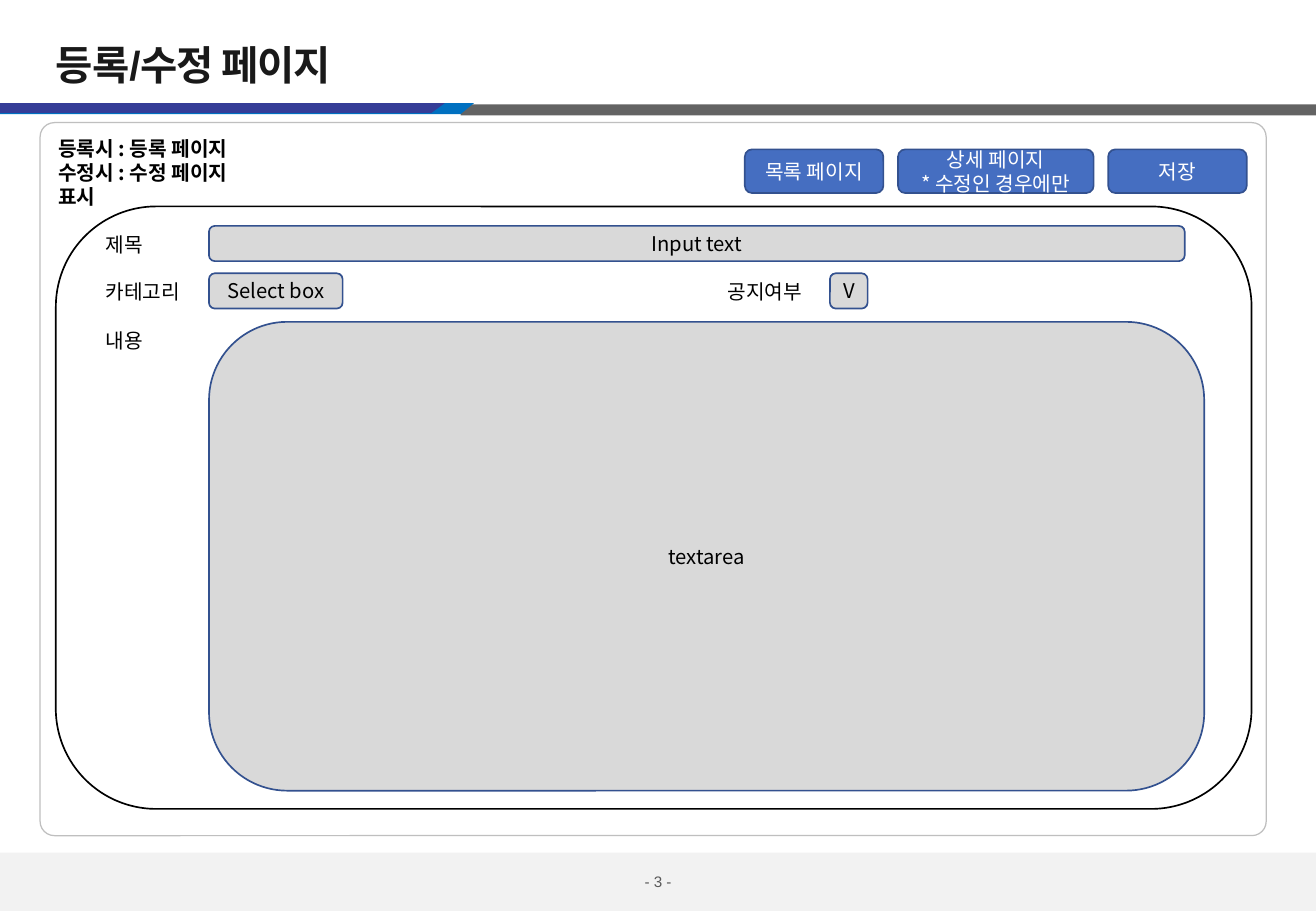
from pptx import Presentation
from pptx.dml.color import RGBColor
from pptx.enum.shapes import MSO_SHAPE as Kind
from pptx.enum.text import MSO_ANCHOR as Anchor, MSO_AUTO_SIZE as Auto, PP_ALIGN as Align
from pptx.oxml.ns import qn
from pptx.util import Inches, Pt
from lxml.etree import SubElement

BLACK = RGBColor(0x00, 0x00, 0x00)
WHITE = RGBColor(0xFF, 0xFF, 0xFF)
INK = RGBColor(0x19, 0x19, 0x19)
GRAY = RGBColor(0x59, 0x59, 0x59)
BAR = RGBColor(0x63, 0x63, 0x63)
EDGE = RGBColor(0xBF, 0xBF, 0xBF)
FIELD = RGBColor(0xD9, 0xD9, 0xD9)
FOOT = RGBColor(0xF2, 0xF2, 0xF2)
BLUE = RGBColor(0x45, 0x6E, 0xC1)
RIM = RGBColor(0x33, 0x51, 0x8F)
SKY = RGBColor(0x00, 0x70, 0xC0)
NAVY = RGBColor(0x35, 0x3D, 0x97)
SANS = "Noto Sans CJK KR"
HEAD = "Arial"


class Page:
    def __init__(self, deck):
        self.slide = deck.slides.add_slide(deck.slide_layouts[6])
        self.shapes = self.slide.shapes

    def paint(self, shape, fill, line=None, width=1):
        shape.shadow.inherit = False
        if fill is None:
            shape.fill.background()
        else:
            shape.fill.solid()
            shape.fill.fore_color.rgb = fill
        if line is None:
            shape.line.fill.background()
        else:
            shape.line.color.rgb = line
            shape.line.width = Pt(width)

    def letter(self, shape, text, color, size=12, font=SANS, bold=False,
               align=Align.LEFT, space=None):
        frame = shape.text_frame
        frame.text = text
        for para in frame.paragraphs:
            para.alignment = align
            for run in para.runs:
                run.font.name = font
                run.font.size = Pt(size)
                run.font.bold = bold
                run.font.color.rgb = color
                props = run.font._element
                SubElement(props, qn("a:ea")).set("typeface", SANS)
                if space is not None:
                    props.set("spc", str(int(space * 100)))

    def box(self, kind, area, fill, line=None, width=1, bend=None):
        shape = self.shapes.add_shape(kind, *map(Inches, area))
        self.paint(shape, fill, line, width)
        if bend is not None:
            shape.adjustments[0] = bend
        return shape

    def field(self, area, text, fill=FIELD, color=BLACK):
        shape = self.box(Kind.ROUNDED_RECTANGLE, area, fill, RIM)
        shape.text_frame.vertical_anchor = Anchor.MIDDLE
        self.letter(shape, text, color, align=Align.CENTER)

    def button(self, left, width, text):
        self.field((left, 1.23, width, 0.36), text, BLUE, WHITE)

    def label(self, area, text, color=BLACK, tight=False, wrap=False, **style):
        shape = self.shapes.add_textbox(*map(Inches, area))
        frame = shape.text_frame
        frame.word_wrap = wrap
        frame.auto_size = Auto.SHAPE_TO_FIT_TEXT
        if tight:
            frame.vertical_anchor = Anchor.MIDDLE
            frame.margin_left = frame.margin_right = 0
            frame.margin_top = frame.margin_bottom = 0
        self.letter(shape, text, color, **style)

    def band(self, right, depth, fill):
        top, slant = 0.85, 0.11
        points = [(right, top), (right - slant, top + depth), (0, top + depth)]
        outline = self.shapes.build_freeform(0, Inches(top), scale=1.0)
        outline.add_line_segments([(Inches(x), Inches(y)) for x, y in points])
        self.paint(outline.convert_to_shape(), fill)


def main():
    deck = Presentation()
    deck.slide_width = Inches(10.83)
    deck.slide_height = Inches(7.5)
    page = Page(deck)

    page.box(Kind.RECTANGLE, (0, 7.02, 10.83, 0.48), FOOT)
    page.box(Kind.RECTANGLE, (3.79, 0.86, 7.04, 0.09), BAR)
    page.band(3.9, 0.09, SKY)
    page.band(3.66, 0.08, NAVY)
    page.label((4.74, 7.18, 1.35, 0.15), "- 3 -", GRAY, tight=True, wrap=True,
               size=9, font=HEAD, align=Align.CENTER)
    page.box(Kind.ROUNDED_RECTANGLE, (0.33, 1.01, 10.09, 5.87), None, EDGE, 0.75, 0.02)
    page.box(Kind.ROUNDED_RECTANGLE, (0.46, 1.7, 9.84, 4.96), WHITE, BLACK)

    page.label((0.46, 0.33, 2.55, 0.4), "등록/수정 페이지", INK, tight=True,
               size=24, font=HEAD, bold=True, space=-0.6)
    page.label((0.38, 1.07, 1.77, 0.71),
               "등록시 : 등록 페이지\n수정시 : 수정 페이지\n표시", bold=True)

    first, second, third = 1.86, 2.25, 2.65
    for left, top, width, text in (
        (0.77, first, 0.54, "제목"),
        (0.77, second, 0.88, "카테고리"),
        (5.89, second, 0.88, "공지여부"),
        (0.77, third, 0.54, "내용"),
    ):
        page.label((left, top, width, 0.3), text)

    for left, top, width, height, text in (
        (1.72, first, 8.03, 0.29, "Input text"),
        (1.72, second, 1.1, 0.29, "Select box"),
        (6.83, second, 0.31, 0.29, "V"),
        (1.72, third, 8.19, 3.86, "textarea"),
    ):
        page.field((left, top, width, height), text)

    left = 6.13
    for width, text in (
        (1.14, "목록 페이지"),
        (1.61, "상세 페이지\n* 수정인 경우에만"),
        (1.14, "저장"),
    ):
        page.button(left, width, text)
        left += width + 0.12

    deck.save("out.pptx")


if __name__ == "__main__":
    main()
